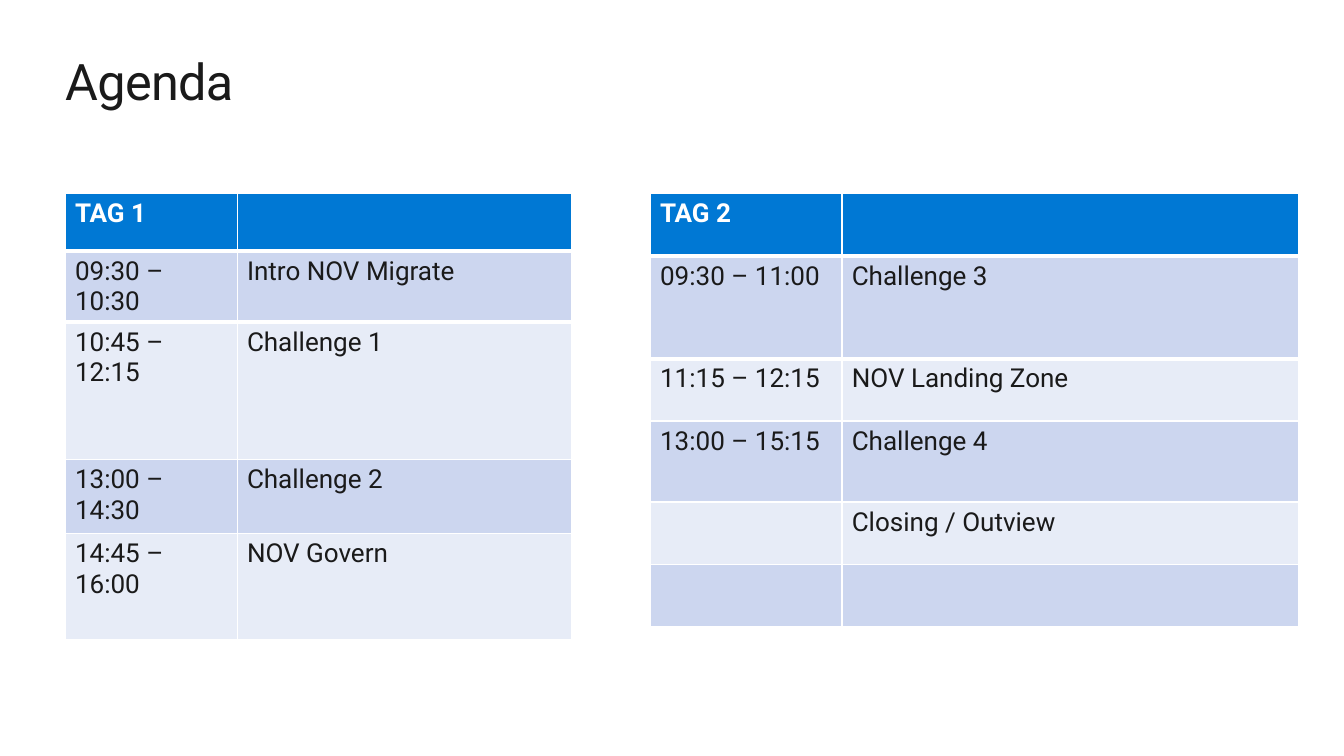
from lxml import etree
from pptx import Presentation
from pptx.dml.color import RGBColor
from pptx.enum.text import MSO_ANCHOR, PP_ALIGN
from pptx.oxml.ns import qn
from pptx.util import Inches, Pt

TOP, LEFT = MSO_ANCHOR.TOP, PP_ALIGN.LEFT
WHITE = RGBColor(0xFF, 0xFF, 0xFF)
INK = RGBColor(0x1A, 0x1A, 0x1A)
HEADER_BLUE = RGBColor(0x00, 0x78, 0xD4)
BANDS = [RGBColor(0xCC, 0xD6, 0xEF), RGBColor(0xE7, 0xEC, 0xF7)]
FONT = "Roboto"
MARGIN = 0.66
TABLE_TOP = 1.96

# Each row: height in inches, time, topic
DAYS = [
    {"left": MARGIN, "columns": [1.74, 3.38], "rows": [
        (0.58, "TAG 1", ""),
        (0.58, "09:30 – 10:30", "Intro NOV Migrate"),
        (1.39, "10:45 – 12:15", "Challenge 1"),
        (0.75, "13:00 – 14:30", "Challenge 2"),
        (1.07, "14:45 – 16:00", "NOV Govern"),
    ]},
    {"left": 6.58, "columns": [1.94, 4.62], "rows": [
        (0.63, "TAG 2", ""),
        (1.04, "09:30 – 11:00", "Challenge 3"),
        (0.63, "11:15 – 12:15", "NOV Landing Zone"),
        (0.82, "13:00 – 15:15", "Challenge 4"),
        (0.63, "", "Closing / Outview"),
        (0.63, "", ""),
    ]},
]


def write(paragraph, text, size, color, bold=False):
    run = paragraph.add_run()
    run.text = text
    font_format = {"name": FONT, "size": Pt(size), "bold": bold}
    for attribute, value in font_format.items():
        setattr(run.font, attribute, value)
    run.font.color.rgb = color
    return run


def rule_cell_edge(cell, edge, width):
    """Draw a white rule on one edge of a cell; edge is a:lnB or a:lnT."""
    rule = etree.Element(qn(edge), w=str(Pt(width)))
    fill = etree.SubElement(rule, qn("a:solidFill"))
    etree.SubElement(fill, qn("a:srgbClr"), val=str(WHITE))
    cell._tc.get_or_add_tcPr().insert(0, rule)


prs = Presentation()
prs.slide_width, prs.slide_height = Inches(13.6), Inches(7.65)
slide = prs.slides.add_slide(prs.slide_layouts[5])

title = slide.shapes.title
title_place = {"left": MARGIN, "top": 0.51, "width": 12.29, "height": 0.62}
for attribute, value in title_place.items():
    setattr(title, attribute, Inches(value))
title_frame = title.text_frame
frame_format = {"margin_left": 0, "margin_top": 0, "margin_right": 0,
                "margin_bottom": 0, "vertical_anchor": TOP, "word_wrap": True}
for attribute, value in frame_format.items():
    setattr(title_frame, attribute, value)
heading = title_frame.paragraphs[0]
heading.alignment = LEFT
heading_run = write(heading, "Agenda", 36.7, INK)
heading_run.font._element.set("spc", "-50")

# The default table style supplies the thin white rules
for day in DAYS:
    columns, rows = day["columns"], day["rows"]
    agenda = slide.shapes.add_table(
        len(rows), len(columns), Inches(day["left"]), Inches(TABLE_TOP),
        Inches(sum(columns)), Inches(sum(row[0] for row in rows))).table
    for column, width in zip(agenda.columns, columns):
        column.width = Inches(width)
    for row_number, (height, *texts) in enumerate(rows):
        is_header = row_number == 0
        agenda.rows[row_number].height = Inches(height)
        for cell, text in zip(agenda.rows[row_number].cells, texts):
            cell.fill.solid()
            cell.fill.fore_color.rgb = HEADER_BLUE if is_header else BANDS[(row_number - 1) % 2]
            if row_number < 2:
                rule_cell_edge(cell, "a:lnB" if is_header else "a:lnT", 3)
            if text:
                write(cell.text_frame.paragraphs[0], text, 19,
                      WHITE if is_header else INK, is_header)

prs.save("out.pptx")
